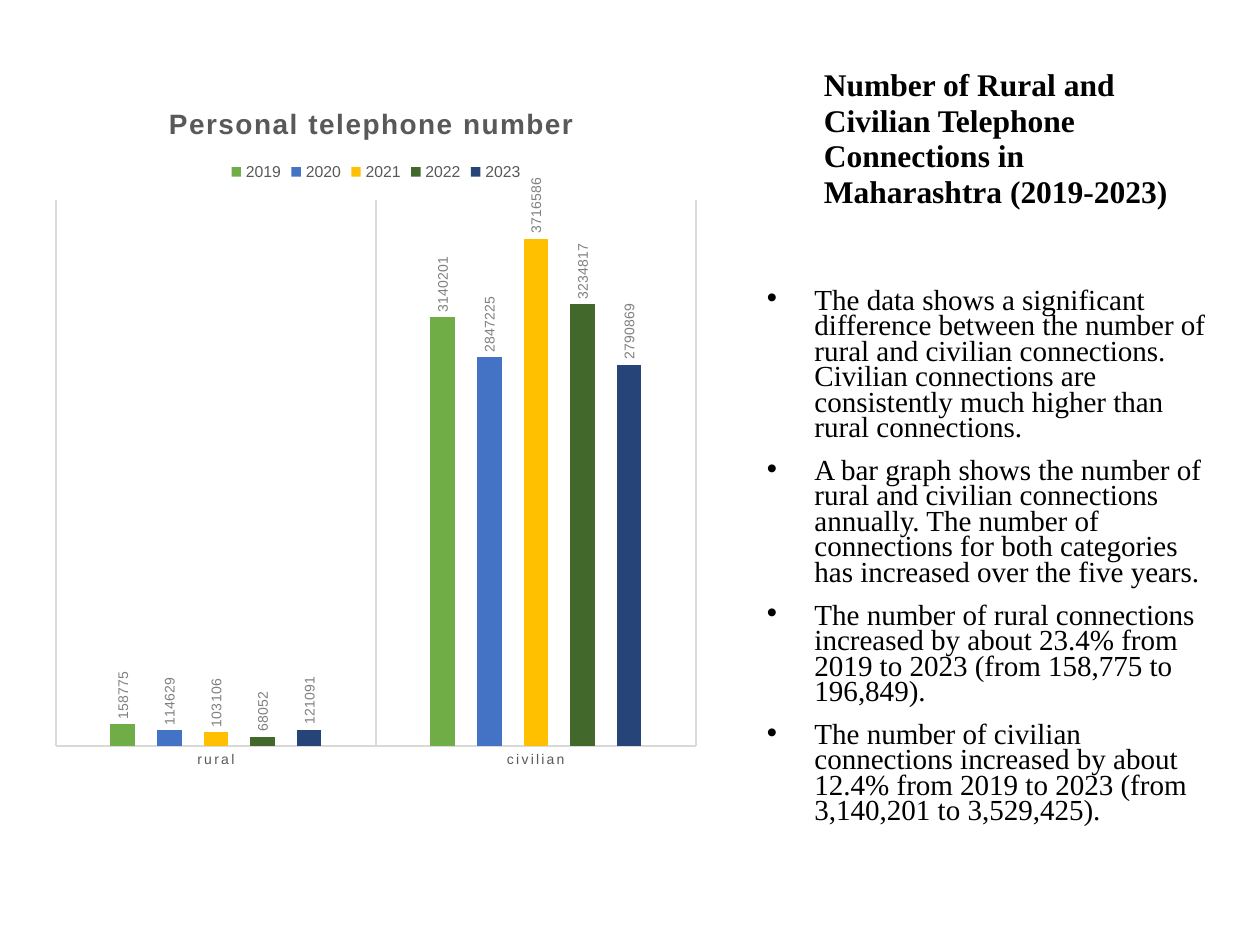
from lxml import etree
from pptx import Presentation
from pptx.chart.data import CategoryChartData
from pptx.dml.color import RGBColor
from pptx.enum.chart import XL_CHART_TYPE, XL_LABEL_POSITION, XL_LEGEND_POSITION, XL_TICK_MARK
from pptx.enum.text import MSO_ANCHOR
from pptx.oxml import parse_xml
from pptx.oxml.ns import nsdecls, qn
from pptx.util import Cm, Pt

COLUMNS = XL_CHART_TYPE.COLUMN_CLUSTERED
OUTSIDE = XL_LABEL_POSITION.OUTSIDE_END
TOP_LEGEND = XL_LEGEND_POSITION.TOP
NO_TICK = XL_TICK_MARK.NONE
ANCHOR_TOP, ANCHOR_BOTTOM = MSO_ANCHOR.TOP, MSO_ANCHOR.BOTTOM

COLORS = {
    "text": "000000", "chart_text": "595959", "label": "808080", "rule": "D9D9D9",
    "2019": "70AD47", "2020": "4472C4", "2021": "FFC000",
    "2022": "43682B", "2023": "264478",
}
CONNECTIONS = {
    "2019": (158775, 3140201),
    "2020": (114629, 2847225),
    "2021": (103106, 3716586),
    "2022": (68052, 3234817),
    "2023": (121091, 2790869),
}
FINDINGS = (
    "The data shows a significant difference between the number of rural and civilian "
    "connections. Civilian connections are consistently much higher than rural connections.",
    "A bar graph shows the number of rural and civilian connections annually. "
    "The number of connections for both categories has increased over the five years.",
    "The number of rural connections increased by about 23.4% from 2019 to 2023 "
    "(from 158,775 to 196,849).",
    "The number of civilian connections increased by about 12.4% from 2019 to 2023 "
    "(from 3,140,201 to 3,529,425).",
)


def set_font(font, name, size, color, bold=False):
    font.name = name
    font.size = Pt(size)
    font.bold = bold
    font.color.rgb = RGBColor.from_string(COLORS[color])


def write(para, text, line_spacing=None, space_before=0, **font_format):
    para.space_before = Pt(space_before)
    if line_spacing:
        para.line_spacing = line_spacing
    span = para.add_run()
    span.text = text
    set_font(span.font, **font_format)
    return span


def add_bullet(para, indent):
    properties = para._p.get_or_add_pPr()
    properties.set("marL", str(indent))
    properties.set("indent", str(-indent))
    etree.SubElement(properties, qn("a:buFont")).set("typeface", "Arial")
    etree.SubElement(properties, qn("a:buChar")).set("char", "•")


def style_line(line, color):
    line.width = Pt(0.75)
    line.color.rgb = RGBColor.from_string(COLORS[color])


class SlideBuilder:
    text_font = "Times New Roman"
    chart_font = "Arial"

    def __init__(self, slide):
        self.slide = slide

    def text(self, paragraphs, place, anchor=ANCHOR_TOP, bottom=0.13, bullets=False, **style):
        box = self.slide.shapes.add_textbox(*map(Cm, place))
        frame = box.text_frame
        frame.word_wrap = True
        frame.vertical_anchor = anchor
        frame.margin_bottom = Cm(bottom)
        for index, words in enumerate(paragraphs):
            para = frame.add_paragraph() if index else frame.paragraphs[0]
            write(para, words, name=self.text_font, color="text", **style)
            if bullets:
                add_bullet(para, Cm(0.96))

    def column_chart(self, title, categories, rows, place, layout):
        data = CategoryChartData()
        data.categories = categories
        for year, values in rows.items():
            data.add_series(year, values)
        chart = self.slide.shapes.add_chart(COLUMNS, *map(Cm, place), data).chart
        set_font(chart.font, self.chart_font, 10, "text")
        chart.has_title = True
        heading = write(chart.chart_title.text_frame.paragraphs[0], title,
                        name=self.chart_font, size=16, color="chart_text", bold=True)
        heading.font._element.set("spc", "100")
        chart.has_legend = True
        chart.legend.position = TOP_LEGEND
        chart.legend.include_in_layout = False
        set_font(chart.legend.font, self.chart_font, 9, "chart_text")
        self.axes(chart)
        self.columns(chart)
        self.plot_layout(chart, layout)

    def axes(self, chart):
        category = chart.category_axis
        category.major_tick_mark = category.minor_tick_mark = NO_TICK
        category.has_major_gridlines = True
        style_line(category.major_gridlines.format.line, "rule")
        style_line(category.format.line, "rule")
        set_font(category.tick_labels.font, self.chart_font, 8, "chart_text")
        for properties in chart.element.xpath(".//c:catAx/c:txPr//a:defRPr"):
            properties.set("spc", "120")
        value = chart.value_axis
        value.minimum_scale, value.maximum_scale = 0, 4000000
        value.has_major_gridlines = False
        value.visible = False

    def columns(self, chart):
        plot = chart.plots[0]
        plot.gap_width, plot.overlap = 444, -90
        plot.vary_by_categories = False
        for series in plot.series:
            series.format.fill.solid()
            series.format.fill.fore_color.rgb = RGBColor.from_string(COLORS[series.name])
            labels = series.data_labels
            labels.show_value = True
            labels.position = OUTSIDE
            set_font(labels.font, self.chart_font, 8, "label")
        for body in chart.element.xpath(".//c:dLbls/c:txPr/a:bodyPr"):
            body.set("rot", "-5400000")
            body.set("vert", "horz")

    def plot_layout(self, chart, layout):
        area = chart.element.xpath(".//c:plotArea")[0]
        for old in area.findall(qn("c:layout")):
            area.remove(old)
        sizes = "".join(f'<c:{key} val="{value}"/>' for key, value in zip("xywh", layout))
        area.insert(0, parse_xml(
            f'<c:layout {nsdecls("c")}><c:manualLayout><c:layoutTarget val="inner"/>'
            f'<c:xMode val="edge"/><c:yMode val="edge"/>{sizes}</c:manualLayout></c:layout>'))


def main():
    deck = Presentation()
    deck.slide_width, deck.slide_height = Cm(25.4), Cm(19.05)
    page = SlideBuilder(deck.slides.add_slide(deck.slide_layouts[6]))
    page.text(["Number of Rural and Civilian Telephone Connections in Maharashtra (2019-2023)"],
              (16.36, 1.27, 8.2, 4.45), anchor=ANCHOR_BOTTOM, bottom=1.48,
              size=18, bold=True, line_spacing=0.94)
    page.column_chart("Personal telephone number ", ("rural", "civilian"), CONNECTIONS,
                      (0.86, 1.63, 13.44, 14.12), (0.02, 0.17, 0.96, 0.78))
    page.text(FINDINGS, (15.21, 5.72, 9.47, 11.46), bullets=True,
              size=16.6, line_spacing=0.73, space_before=10)
    deck.save("out.pptx")


if __name__ == "__main__":
    main()
